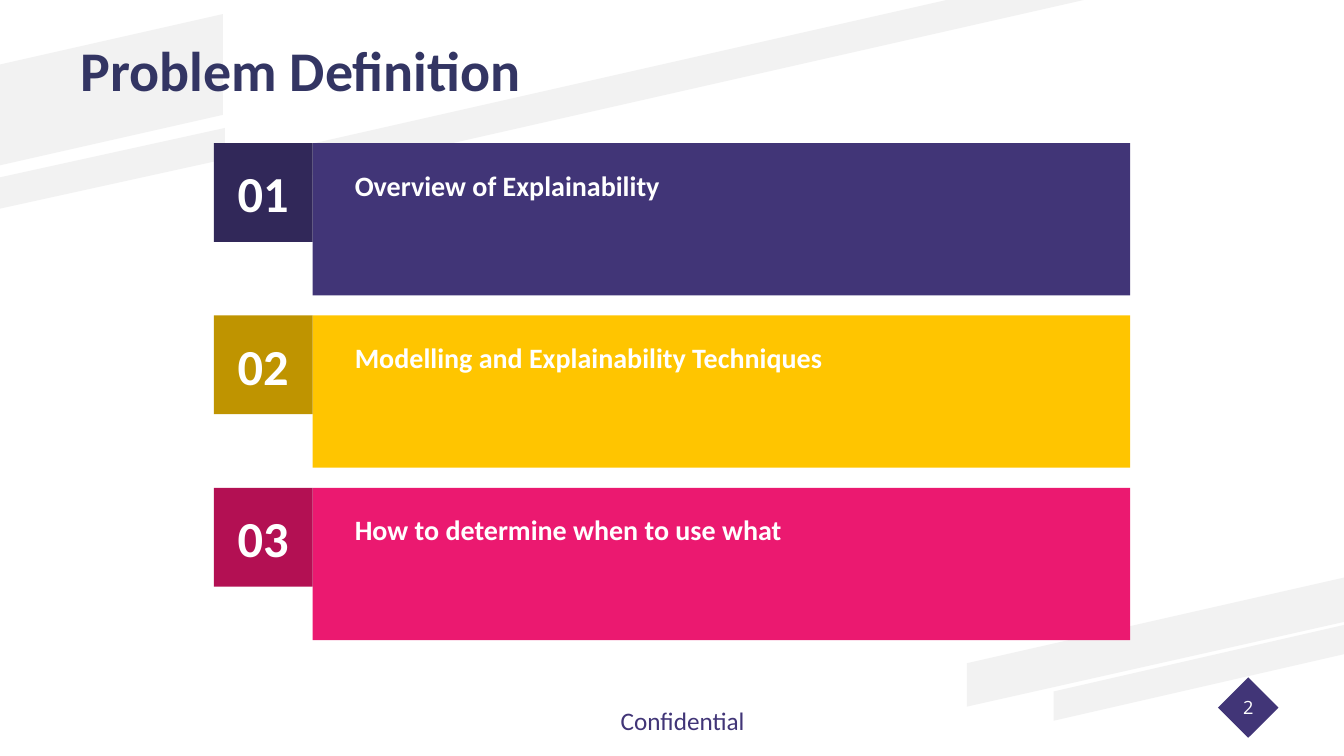
from pptx import Presentation
from pptx.dml.color import RGBColor
from pptx.enum.shapes import MSO_SHAPE
from pptx.enum.text import MSO_ANCHOR, PP_ALIGN
from pptx.util import Inches, Pt

RECTANGLE, DIAMOND = MSO_SHAPE.RECTANGLE, MSO_SHAPE.DIAMOND
MIDDLE, BOTTOM = MSO_ANCHOR.MIDDLE, MSO_ANCHOR.BOTTOM
LEFT, CENTER = PP_ALIGN.LEFT, PP_ALIGN.CENTER

COLORS = {
    "title": "333563", "band": "F2F2F2", "white": "FFFFFF",
    "purple": "413577", "dark purple": "312859",
    "yellow": "FFC500", "dark yellow": "BF9400",
    "pink": "EB1970", "dark pink": "B31053",
}


def paint(shape, color):
    shape.shadow.inherit = False
    shape.fill.solid()
    shape.fill.fore_color.rgb = RGBColor.from_string(COLORS[color])
    shape.line.fill.background()


def write(shape, text, size, color, align, anchor, bold=False, font="Calibri"):
    frame = shape.text_frame
    frame.text = text
    frame.word_wrap = True
    frame.vertical_anchor = anchor
    paragraph = frame.paragraphs[0]
    paragraph.alignment = align
    paragraph.font.name = font
    paragraph.font.size = Pt(size)
    paragraph.font.bold = bold
    paragraph.font.color.rgb = RGBColor.from_string(COLORS[color])


deck = Presentation()
deck.slide_width, deck.slide_height = Inches(13.33), Inches(7.5)
slide = deck.slides.add_slide(deck.slide_layouts[5])

footer = slide.shapes.add_textbox(Inches(6.03), Inches(6.95), Inches(1.48), Inches(0.4))
write(footer, "Confidential", 18, "purple", CENTER, MSO_ANCHOR.TOP)
footer.text_frame.word_wrap = False

bands = [
    [(2.21, 0.14), (2.21, 1.14), (0, 1.64), (0, 0.64)],
    [(13.33, 6.2), (10.45, 6.86), (10.45, 7.15), (13.33, 6.49)],
    [(13.33, 5.73), (9.59, 6.58), (9.59, 7.01), (13.33, 6.17)],
    [(9.39, 0), (10.75, 0), (2.24, 1.93), (2.24, 1.62)],
    [(2.23, 1.27), (2.23, 1.58), (0, 2.07), (0, 1.76)],
]
for corners in bands:
    points = [(Inches(x), Inches(y)) for x, y in corners]
    outline = slide.shapes.build_freeform(*points[0])
    outline.add_line_segments(points[1:], close=True)
    paint(outline.convert_to_shape(), "band")

title = slide.shapes.title
slide.shapes._spTree.append(title._element)
title.left, title.top = Inches(0.67), Inches(0.3)
title.width, title.height = Inches(12), Inches(0.78)
write(title, "Problem Definition", 40, "title", LEFT, MIDDLE, bold=True)
title.text_frame.margin_left = title.text_frame.margin_right = Inches(0.13)
title.text_frame.margin_top = title.text_frame.margin_bottom = Inches(0.07)

page_badge = slide.shapes.add_shape(DIAMOND, Inches(12.08), Inches(6.72), Inches(0.6), Inches(0.6))
paint(page_badge, "purple")
write(page_badge, "2", 13, "white", CENTER, MIDDLE, font="Open Sans")
page_badge.text_frame.margin_left = page_badge.text_frame.margin_right = 0

number_left, first_top = Inches(2.12), Inches(1.42)
number_size = Inches(0.98)
bar_left = number_left + number_size
bar_width, bar_height = Inches(8.11), Inches(1.51)
row_step = bar_height + Inches(0.2)

topics = [
    ("Overview of Explainability", "purple"),
    ("Modelling and Explainability Techniques", "yellow"),
    ("How to determine when to use what", "pink"),
]
for row, (topic, color) in enumerate(topics):
    top = first_top + row * row_step
    item = slide.shapes.add_group_shape().shapes

    bar = item.add_shape(RECTANGLE, bar_left, top, bar_width, bar_height)
    paint(bar, color)

    number = item.add_shape(RECTANGLE, number_left, top, number_size, number_size)
    paint(number, f"dark {color}")
    write(number, f"{row + 1:02}", 36, "white", CENTER, MIDDLE, bold=True)

    heading = item.add_textbox(bar_left + Inches(0.32), top + Inches(0.19), Inches(7.49), Inches(0.44))
    write(heading, topic, 20, "white", LEFT, BOTTOM, bold=True)

deck.save("out.pptx")
